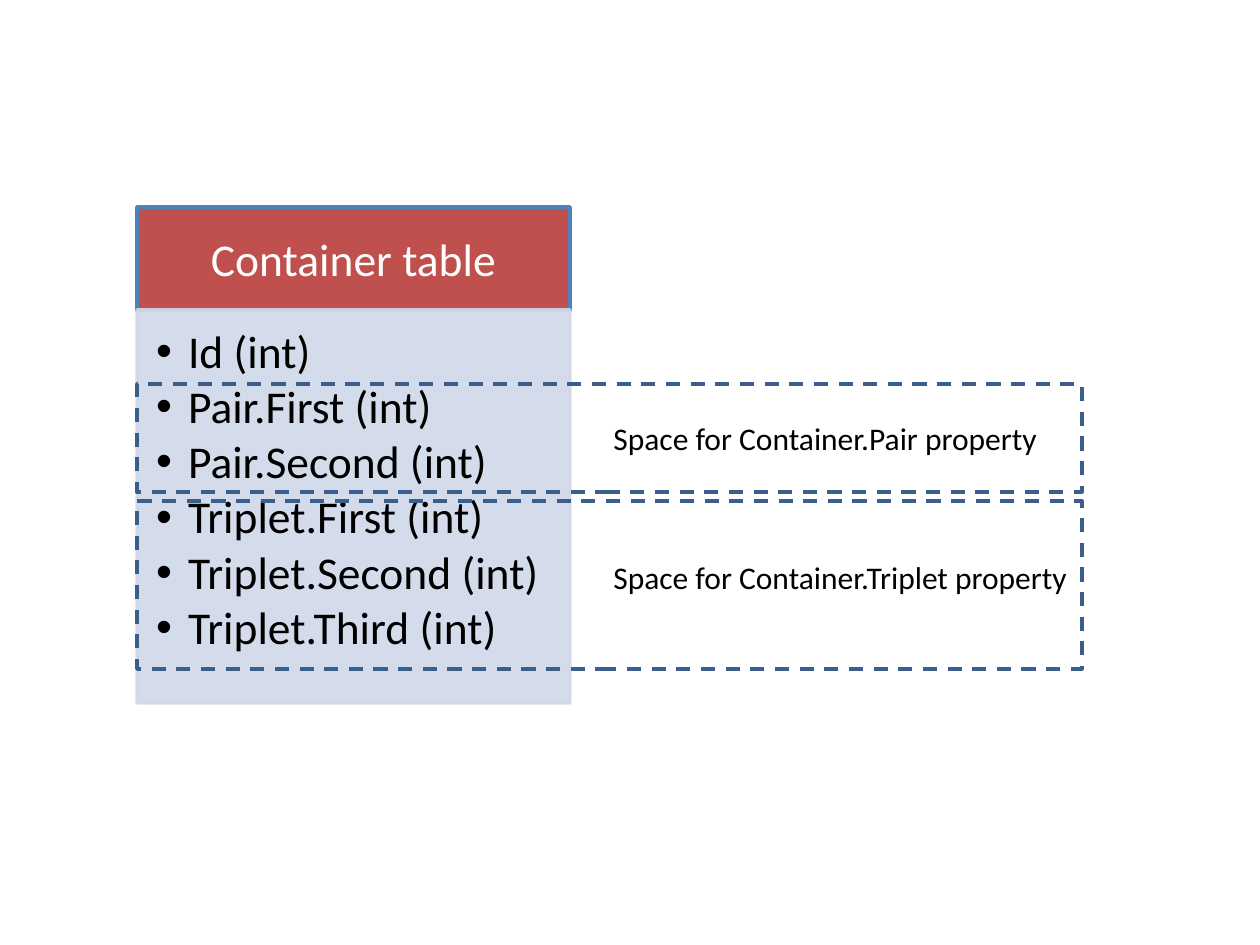
from lxml import etree
from pptx import Presentation
from pptx.dml.color import RGBColor
from pptx.enum.dml import MSO_LINE
from pptx.enum.shapes import MSO_SHAPE
from pptx.enum.text import MSO_ANCHOR, PP_ALIGN
from pptx.oxml.ns import qn
from pptx.util import Emu, Pt

RECTANGLE = MSO_SHAPE.RECTANGLE
DASH = MSO_LINE.DASH
TOP, MIDDLE = MSO_ANCHOR.TOP, MSO_ANCHOR.MIDDLE
LEFT, CENTER = PP_ALIGN.LEFT, PP_ALIGN.CENTER

WHITE = RGBColor(0xFF, 0xFF, 0xFF)
BLACK = RGBColor(0x00, 0x00, 0x00)
RED = RGBColor(0xC0, 0x50, 0x4D)
BLUE = RGBColor(0x4F, 0x81, 0xBD)
PALE_BLUE = RGBColor(0xD0, 0xD8, 0xE8)
DARK_BLUE = RGBColor(0x3A, 0x5F, 0x8C)


def px(pixels):
    return Emu(round(pixels * 914400 / 126))


class SlideBuilder:
    font = "Calibri"
    line_width = Pt(2)

    def __init__(self, page):
        self.page = page

    def rectangle(self, area, line, fill=None, dash=None, alpha=None):
        box = self.page.shapes.add_shape(RECTANGLE, *map(px, area))
        box.shadow.inherit = False
        box.line.color.rgb = line
        box.line.width = self.line_width
        if dash is not None:
            box.line.dash_style = dash
        if fill is None:
            box.fill.background()
        else:
            box.fill.solid()
            box.fill.fore_color.rgb = fill
        if alpha is not None:
            for color in box._element.spPr.iter(qn("a:srgbClr")):
                etree.SubElement(color, qn("a:alpha"), val=str(alpha * 1000))
        return box

    def set_text(self, box, lines, size, color, align=LEFT, anchor=TOP, insets=None, wrap=True):
        frame = box.text_frame
        frame.word_wrap = wrap
        frame.vertical_anchor = anchor
        if insets:
            (frame.margin_left, frame.margin_top,
             frame.margin_right, frame.margin_bottom) = map(px, insets)
        frame.text = "\n".join(lines)
        for para in frame.paragraphs:
            para.alignment = align
            for span in para.runs:
                span.font.name = self.font
                span.font.size = Pt(size)
                span.font.color.rgb = color
        return frame.paragraphs

    def header(self, area, title):
        box = self.rectangle(area, BLUE, RED)
        self.set_text(box, [title], 26, WHITE, CENTER, MIDDLE, (25, 15, 25, 15))

    def bullet_list(self, area, items):
        box = self.rectangle(area, PALE_BLUE, PALE_BLUE, alpha=90)
        for para in self.set_text(box, items, 26, BLACK, insets=(19, 19, 25, 29)):
            para.line_spacing = 0.9
            para.space_after = Pt(3.5)
            properties = para._p.get_or_add_pPr()
            properties.set("marL", str(px(32)))
            properties.set("indent", str(px(-32)))
            etree.SubElement(properties, qn("a:buFont"), typeface="Arial")
            etree.SubElement(properties, qn("a:buChar"), char="•")

    def label(self, area, text):
        box = self.page.shapes.add_textbox(*map(px, area))
        self.set_text(box, [text], 18, BLACK, wrap=False)


deck = Presentation()
deck.slide_width, deck.slide_height = px(1260), px(945)
builder = SlideBuilder(deck.slides.add_slide(deck.slide_layouts[6]))

TABLE_LEFT, TABLE_WIDTH = 137, 433
FIELDS = {"Pair": ["First", "Second"], "Triplet": ["First", "Second", "Third"]}
SPACES = [("Pair", 384, 108, 413, 461), ("Triplet", 501, 168, 552, 491)]

builder.header((TABLE_LEFT, 207, TABLE_WIDTH, 103), "Container table")
columns = ["Id"] + [f"{owner}.{field}" for owner, fields in FIELDS.items() for field in fields]
builder.bullet_list((TABLE_LEFT, 310, TABLE_WIDTH, 393), [f"{column} (int)" for column in columns])

for owner, top, height, label_top, label_width in SPACES:
    builder.rectangle((TABLE_LEFT, top, 945, height), DARK_BLUE, dash=DASH)
    builder.label((601, label_top, label_width, 50), f"Space for Container.{owner} property")

deck.save("out.pptx")
